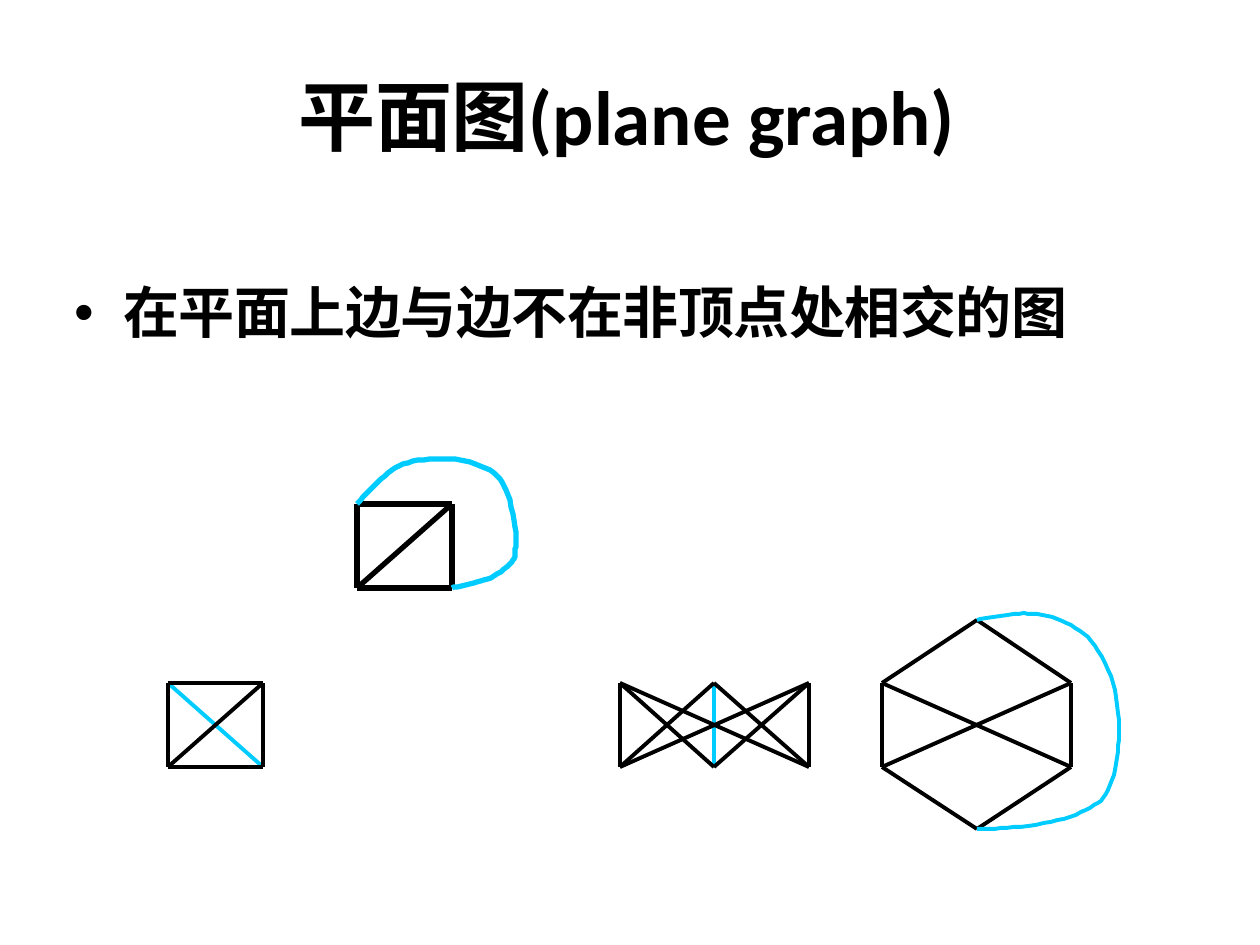
from dataclasses import dataclass

from lxml.etree import SubElement
from pptx import Presentation
from pptx.dml.color import RGBColor
from pptx.enum.shapes import MSO_CONNECTOR
from pptx.enum.text import MSO_ANCHOR, MSO_AUTO_SIZE, PP_ALIGN
from pptx.oxml.ns import qn
from pptx.util import Pt

PX = 914400 / 126


@dataclass(frozen=True)
class Theme:
    ink: RGBColor = RGBColor(0x00, 0x00, 0x00)
    accent: RGBColor = RGBColor(0x00, 0xCC, 0xFF)
    latin: str = "Calibri"
    cjk: str = "Noto Sans CJK SC"
    title_size: int = 44
    body_size: int = 32


THEME = Theme()

# Runs: (text, font, letter spacing in hundredths of a point)
TITLE = [("平面图", THEME.cjk, -40), ("(plane graph)", THEME.latin, 0)]
BODY = [("在平面上边与边不在非顶点处相交的图", THEME.cjk, -30)]
TITLE_BOX = (299, 66, 662, 96)
BODY_BOX = (74, 275, 1007, 71)
BODY_INDENT = 49

# Vertices are named by letter; edges are pairs of letters.
# "crossing" is a straight accent edge, "detour" the curve that replaces it.
SQUARE = {"a": (0, 0), "b": (95, 0), "c": (95, 84), "d": (0, 84)}
BIPARTITE = {"a": (0, 0), "b": (94, 0), "c": (189, 0),
             "x": (0, 84), "y": (94, 84), "z": (189, 84)}
HEXAGON = {"a": (0, 0), "y": (95, -63), "c": (189, 0),
           "x": (0, 84), "b": (95, 146), "z": (189, 84)}
K4_EDGES = "ad bc bd dc ab".split()
K33_EDGES = "ax cz ay bx bz cy az cx".split()

GRAPHS = [
    dict(origin=(168, 683), nodes=SQUARE, edges=K4_EDGES, crossing="ac",
         detour=[], width=2.25),
    dict(origin=(357, 504), nodes=SQUARE, edges=K4_EDGES, crossing="",
         detour=[(0, 0), (24, -25), (46, -40), (78, -45), (108, -43),
                 (137, -31), (151, -9), (159, 28), (158, 48), (155, 58),
                 (137, 72), (117, 79), (95, 84)],
         width=3),
    dict(origin=(620, 683), nodes=BIPARTITE, edges=K33_EDGES, crossing="by",
         detour=[], width=2.25),
    dict(origin=(882, 683), nodes=HEXAGON, edges=K33_EDGES, crossing="",
         detour=[(95, -63), (132, -69), (160, -68), (189, -58), (213, -37),
                 (231, 0), (237, 44), (234, 81), (224, 111), (204, 127),
                 (169, 139), (125, 145), (95, 146)],
         width=2.25),
]


def emu(px):
    return round(px * PX)


def smooth_path(knots, steps=6):
    """Points of a Catmull-Rom spline through the knots."""
    ends = [knots[0], *knots, knots[-1]]
    points = [knots[0]]
    for p0, p1, p2, p3 in zip(ends, ends[1:], ends[2:], ends[3:]):
        for i in range(1, steps + 1):
            t = i / steps
            points.append(tuple(
                b + 0.5 * t * (c - a + t * (2 * a - 5 * b + 4 * c - d
                                            + t * (3 * (b - c) + d - a)))
                for a, b, c, d in zip(p0, p1, p2, p3)))
    return points


def style_line(sp, color, width):
    sp.line.color.rgb = color
    sp.line.width = Pt(width)


def add_edge(shapes, start, end, color, width):
    line = shapes.add_connector(MSO_CONNECTOR.STRAIGHT,
                                *map(emu, (*start, *end)))
    style_line(line, color, width)
    SubElement(line._element.spPr, qn("a:effectLst"))


def add_detour(shapes, knots, width):
    first, *rest = smooth_path(knots)
    builder = shapes.build_freeform(*first, scale=PX)
    builder.add_line_segments(rest, close=False)
    curve = builder.convert_to_shape()
    curve.fill.background()
    curve.shadow.inherit = False
    style_line(curve, THEME.accent, width)


def add_graph(slide, origin, nodes, edges, crossing, detour, width):
    def place(point):
        return origin[0] + point[0], origin[1] + point[1]

    shapes = slide.shapes.add_group_shape().shapes
    if crossing:
        start, end = (place(nodes[n]) for n in crossing)
        add_edge(shapes, start, end, THEME.accent, width)
    for edge in edges:
        start, end = (place(nodes[n]) for n in edge)
        add_edge(shapes, start, end, THEME.ink, width)
    if detour:
        add_detour(shapes, [place(k) for k in detour], width)


def fill_placeholder(sp, box, runs, size):
    sp.left, sp.top, sp.width, sp.height = map(emu, box)
    tf = sp.text_frame
    tf.word_wrap = True
    tf.auto_size = MSO_AUTO_SIZE.SHAPE_TO_FIT_TEXT
    tf.vertical_anchor = MSO_ANCHOR.TOP
    tf.margin_left = tf.margin_right = tf.margin_bottom = 0
    tf.margin_top = emu(3)
    p = tf.paragraphs[0]
    p.alignment = PP_ALIGN.LEFT
    p.space_before = Pt(0)
    for text, face, spacing in runs:
        r = p.add_run()
        r.text = text
        r.font.size = Pt(size)
        r.font.bold = True
        r.font.color.rgb = THEME.ink
        r.font.name = face
        rPr = r._r.get_or_add_rPr()
        rPr.set("spc", str(spacing))
        SubElement(rPr, qn("a:ea"), typeface=THEME.cjk)
    return p


def add_bullet(p, indent):
    pPr = p._p.get_or_add_pPr()
    pPr.set("marL", str(emu(indent)))
    pPr.set("indent", str(-emu(indent)))
    SubElement(pPr, qn("a:buChar"), char="•")


def main():
    prs = Presentation()
    prs.slide_width, prs.slide_height = emu(1260), emu(945)
    slide = prs.slides.add_slide(prs.slide_layouts[1])
    title, body = slide.placeholders
    fill_placeholder(title, TITLE_BOX, TITLE, THEME.title_size)
    add_bullet(fill_placeholder(body, BODY_BOX, BODY, THEME.body_size),
               BODY_INDENT)
    for graph in GRAPHS:
        add_graph(slide, **graph)
    prs.save("out.pptx")


if __name__ == "__main__":
    main()
